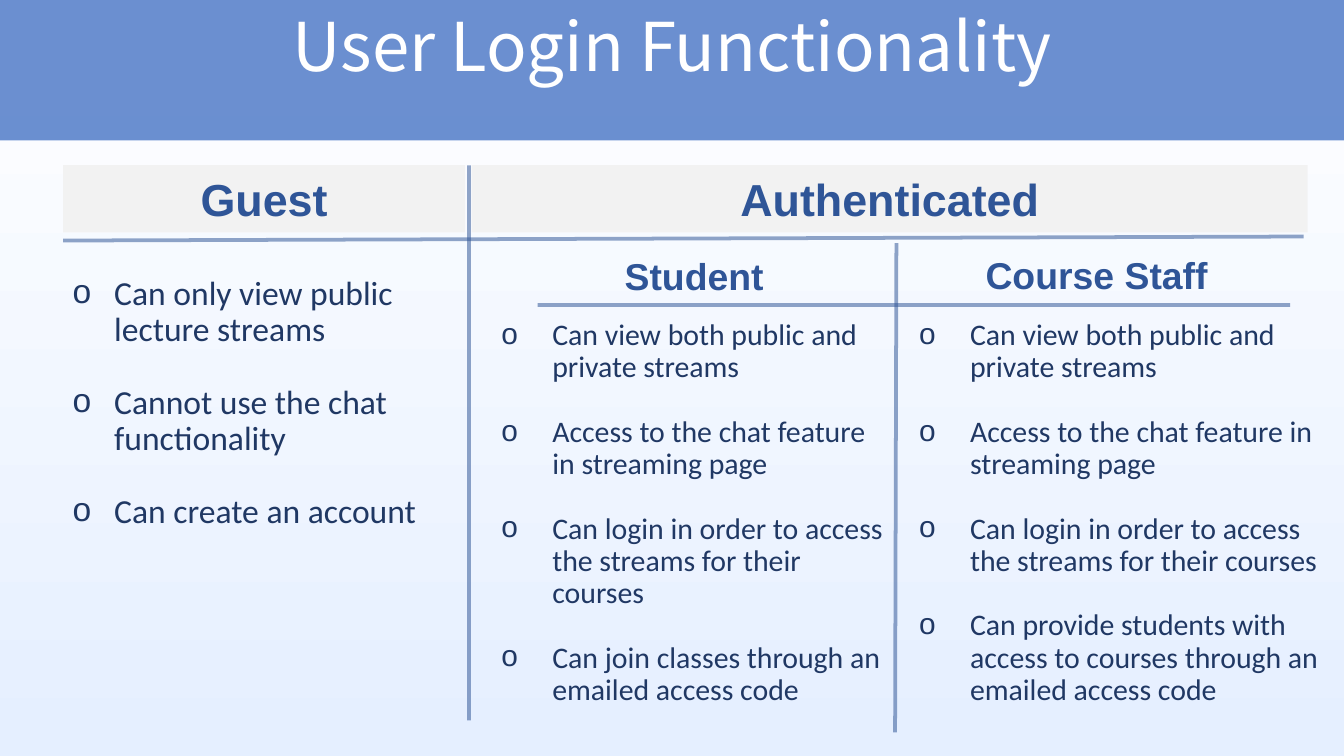
from lxml.etree import SubElement
from pptx import Presentation
from pptx.dml.color import RGBColor
from pptx.enum.shapes import MSO_CONNECTOR as Connector, MSO_SHAPE as Shape
from pptx.enum.text import MSO_ANCHOR as Anchor, MSO_AUTO_SIZE as AutoSize, PP_ALIGN as Align
from pptx.oxml.ns import qn
from pptx.util import Inches, Pt

NAVY, BLUE, BAND, GREY, WHITE = "203864", "2F5597", "4472C4", "F2F2F2", "FFFFFF"

presentation = Presentation()
presentation.slide_width = Inches(10)
presentation.slide_height = presentation.slide_width * 9 // 16
column = presentation.slide_width / 100
row = presentation.slide_height / 56.25


def paint(fill, color, opacity=100, element=None):
    fill.solid()
    fill.fore_color.rgb = RGBColor.from_string(color)
    if opacity < 100:
        tint = element.spPr.find(".//" + qn("a:srgbClr"))
        SubElement(tint, qn("a:alpha"), val=str(opacity * 1000))


def write(shape, lines, size, color, font="Arial", bold=False, align=Align.CENTER,
          spacing=1.0, gap=0, hanging=None, inset=0.1, top=0.05):
    frame = shape.text_frame
    frame.word_wrap, frame.auto_size = True, AutoSize.NONE
    frame.vertical_anchor = Anchor.TOP
    frame.margin_left = frame.margin_right = Inches(inset)
    frame.margin_top = frame.margin_bottom = Inches(top)
    for index, line in enumerate(lines):
        paragraph = frame.add_paragraph() if index else frame.paragraphs[0]
        paragraph.text = line
        paragraph.alignment, paragraph.line_spacing = align, spacing
        paragraph.space_before, paragraph.space_after = Pt(gap if index else 0), Pt(0)
        if hanging:
            properties = paragraph._p.get_or_add_pPr()
            left, indent = hanging
            properties.set("marL", str(Inches(left)))
            properties.set("indent", str(Inches(indent)))
            SubElement(properties, qn("a:buFont"), typeface="Arial")
            SubElement(properties, qn("a:buChar"), char="o")
        run_font = paragraph.runs[0].font
        run_font.name, run_font.size, run_font.bold = font, Pt(size), bold
        paint(run_font.fill, color)


slide = presentation.slides.add_slide(presentation.slide_layouts[3])
background = slide.background.fill
background.gradient()
background.gradient_angle = 270
for stop, color in zip(background.gradient_stops, (WHITE, "E5EFFF")):
    stop.color.rgb = RGBColor.from_string(color)

title = slide.shapes.title
title.left, title.top = 0, 0
title.width, title.height = presentation.slide_width, int(10.45 * row)
paint(title.fill, BAND, 79, title._element)
write(title, ["User Login Functionality"], 36, WHITE, "Noto Sans CJK JP", spacing=0.9, top=0.1)

shared = ["Can view both public and private streams",
          "Access to the chat feature in streaming page",
          "Can login in order to access the streams for their courses"]
guest = ["Can only view public lecture streams",
         "Cannot use the chat functionality",
         "Can create an account"]
student = shared + ["Can join classes through an emailed access code"]
staff = shared + ["Can provide students with access to courses through an emailed access code"]

staff_box = slide.shapes.add_textbox(0, 0, 0, 0)
lists = [
    (slide.placeholders[1], guest, 3.1, 19.55, 31.7, 25.1, 18, 19.5, (0.44, -0.31)),
    (slide.placeholders[2], student, 35.1, 22.8, 31.9, 33.1, 16, 17.3, (0.5, -0.38)),
    (staff_box, staff, 66.2, 22.8, 33.4, 33.1, 16, 17.3, (0.5, -0.38)),
]
for shape, lines, left, top, width, height, size, gap, hanging in lists:
    shape.left, shape.top = int(left * column), int(top * row)
    shape.width, shape.height = int(width * column), int(height * row)
    write(shape, lines, size, NAVY, "Calibri", align=Align.LEFT, spacing=0.9,
          gap=gap, hanging=hanging, top=0.1)

for heading, left, width in (("Guest", 4.7, 29.9), ("Authenticated", 35.1, 62.2)):
    shape = slide.shapes.add_shape(Shape.RECTANGLE, int(left * column), int(12.3 * row),
                                   int(width * column), int(5 * row))
    shape.shadow.inherit = False
    shape.line.fill.background()
    paint(shape.fill, GREY, 94, shape._element)
    write(shape, [heading], 24, BLUE, bold=True)

for heading, left, top in (("Student", 36.7, 18.35), ("Course Staff", 66.65, 18.25)):
    shape = slide.shapes.add_textbox(int(left * column), int(top * row),
                                     int(29.9 * column), int(4.4 * row))
    write(shape, [heading], 20, BLUE, bold=True)

rules = [(97, 17.6, 4.7, 17.9), (34.9, 12.3, 34.9, 53.6),
         (66.7, 18.1, 66.6, 54.5), (96, 22.7, 40, 22.7)]
for start_x, start_y, end_x, end_y in rules:
    rule = slide.shapes.add_connector(Connector.STRAIGHT, int(start_x * column), int(start_y * row),
                                      int(end_x * column), int(end_y * row))
    rule.line.width = Pt(2)
    paint(rule.line.fill, BLUE, 52, rule._element)
    SubElement(rule._element.spPr, qn("a:effectLst"))

presentation.save("out.pptx")
